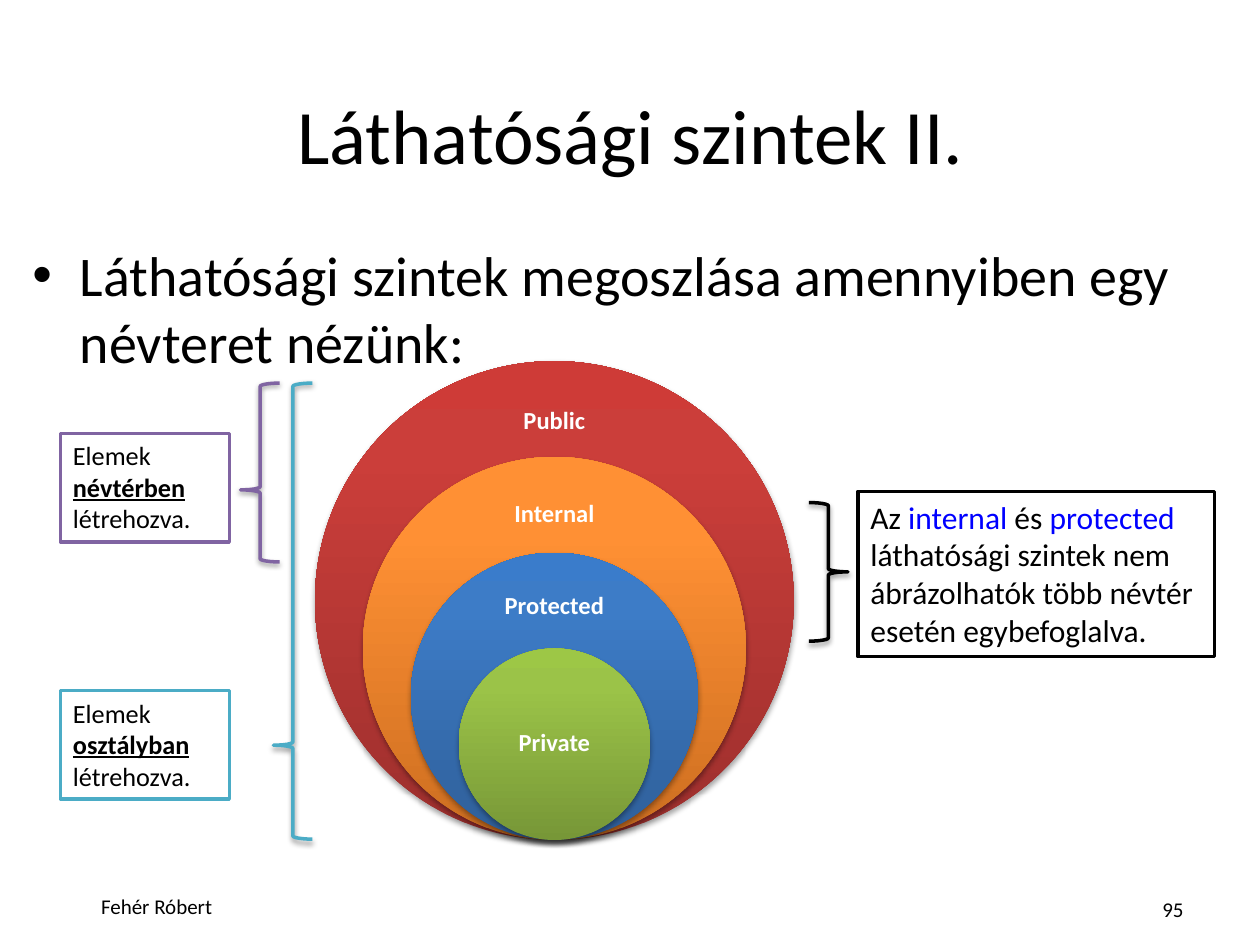
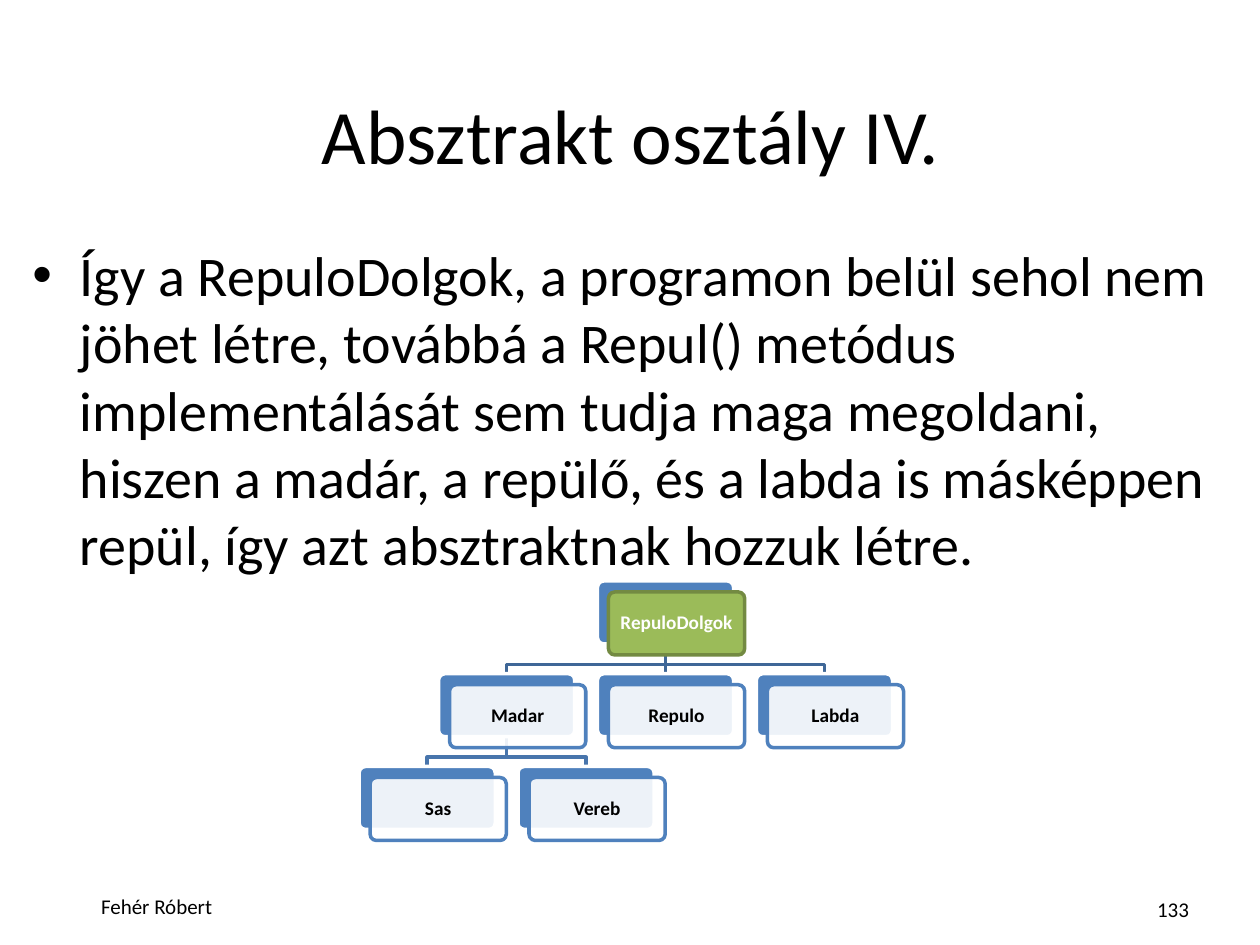
from copy import deepcopy

from lxml.etree import SubElement
from pptx import Presentation
from pptx.dml.color import RGBColor
from pptx.enum.shapes import MSO_CONNECTOR, MSO_SHAPE
from pptx.enum.text import MSO_ANCHOR, PP_ALIGN
from pptx.oxml.ns import qn
from pptx.util import Pt

# Shared palette and formats
BLACK, WHITE, BLUE = "000000", "FFFFFF", "4F81BD"
AQUA, PURPLE, CODE = "4BACC6", "8064A2", "0000FF"
FONT = "Calibri"
MID = {"vertical_anchor": MSO_ANCHOR.MIDDLE}
TOP = {"vertical_anchor": MSO_ANCHOR.TOP}
CENTER = {"alignment": PP_ALIGN.CENTER}
LABEL = {"alignment": PP_ALIGN.CENTER, "line_spacing": 0.9}
LEFT = {"alignment": PP_ALIGN.LEFT}
STRONG = {"bold": True, "underline": True}

# Nested circles: name, label centre, gradient stops
RINGS = [
    ("Public", 240.8, ("9C2F2D", "CB3E3A", "CE3B37")),
    ("Internal", 294.1, ("CC6E20", "FF9034", "FF9136")),
    ("Protected", 346.7, ("2F5F99", "3D7CC7", "3A7CCB")),
    ("Private", 424.8, ("779737", "9BC348", "9DC746")),
]

# Class tree: name -> (half column, row, parent)
TREE = {
    "RepuloDolgok": (3, 0, None),
    "Madar": (1, 1, "RepuloDolgok"),
    "Sas": (0, 2, "Madar"),
    "Vereb": (2, 2, "Madar"),
    "Repulo": (3, 1, "RepuloDolgok"),
    "Labda": (5, 1, "RepuloDolgok"),
}
NODE_W, NODE_H, SHIFT = 77.8, 36, 6.3


def rgb(code):
    return RGBColor.from_string(code)


def put(item, values):
    for name, value in values.items():
        setattr(item, name, value)


def inset(pad):
    sides = ("left", "right", "top", "bottom")
    return {f"margin_{side}": Pt(pad) for side in sides}


def write(shape, paras, size, color=BLACK, frame=MID, align=CENTER):
    """Each paragraph is a list of (text, colour, font values)."""
    box = shape.text_frame
    put(box, {"word_wrap": True, **frame})
    for num, runs in enumerate(paras):
        para = box.add_paragraph() if num else box.paragraphs[0]
        put(para, align)
        for text, tint, extra in runs:
            run = para.add_run()
            run.text = text
            put(run.font, {"name": FONT, "size": Pt(size), **extra})
            run.font.color.rgb = rgb(tint or color)


def plain(text, **extra):
    return [[(text, None, extra)]]


def text_box(slide, area, paras, size, **style):
    box = slide.shapes.add_textbox(*map(Pt, area))
    write(box, paras, size, **style)
    return box


def stroke(shape, color):
    shape.line.color.rgb = rgb(color)
    shape.line.width = Pt(2)


def draw(slide, kind, area, fill=None, line=None):
    shape = slide.shapes.add_shape(kind, *map(Pt, area))
    shape.shadow.inherit = False
    if fill:
        shape.fill.solid()
        shape.fill.fore_color.rgb = rgb(fill)
    else:
        shape.fill.background()
    if line:
        stroke(shape, line)
    else:
        shape.line.fill.background()
    return shape


def shade(shape, alpha, dist):
    effects = shape._element.spPr.find(qn("a:effectLst"))
    outer = SubElement(effects, qn("a:outerShdw"), blurRad=str(Pt(3.1)),
                       dist=str(Pt(dist)), dir="5400000", rotWithShape="0")
    tint = SubElement(outer, qn("a:srgbClr"), val=BLACK)
    SubElement(tint, qn("a:alpha"), val=str(alpha * 1000))


def blend(shape, colors):
    shape.fill.gradient()
    shape.fill.gradient_angle = 90
    stops = shape._element.spPr.find(".//" + qn("a:gsLst"))
    stops.append(deepcopy(stops[-1]))
    for stop, spot, color in zip(shape.fill.gradient_stops, (0, 0.8, 1), colors):
        stop.position = spot
        stop.color.rgb = rgb(color)


def base(deck, title, body, page):
    """Title, bullet, author and page number of one slide."""
    slide = deck.slides.add_slide(deck.slide_layouts[5])
    head = slide.shapes.title
    area = map(Pt, (11.5, 37.5, 697.5, 77.8))
    put(head, dict(zip(("left", "top", "width", "height"), area)))
    write(head, plain(title), 44)
    text = text_box(slide, (11.5, 134, 697.5, 354), plain(body), 32,
                    frame=TOP, align=LEFT)
    props = text.text_frame.paragraphs[0]._p.get_or_add_pPr()
    props.set("marL", str(Pt(27)))
    props.set("indent", str(Pt(-27)))
    SubElement(props, qn("a:buFont"), typeface="Arial")
    SubElement(props, qn("a:buChar"), char="•")
    text_box(slide, (632, 508.5, 76.5, 21.5), plain(page), 12)
    text_box(slide, (11.5, 507, 156, 22), plain("Fehér Róbert"), 12)
    return slide


def rings(slide):
    mid, floor, full = 316.8, 480, 273.6
    for num, (name, level, colors) in enumerate(RINGS):
        size = full * (1 - num / 5)
        disc = draw(slide, MSO_SHAPE.OVAL,
                    (mid - size / 2, floor - size, size, size))
        blend(disc, colors)
        shade(disc, 35, 1.8)
        text_box(slide, (mid - 38.2, level - 20, 76.4, 40),
                 plain(name, bold=True), 14, color=WHITE,
                 frame={**MID, **inset(7.9)}, align=LABEL)


def brace(slide, left, top, high, color, point=0.5, turn=0):
    shape = draw(slide, MSO_SHAPE.RIGHT_BRACE, (left, top, 22.3, high), line=color)
    shape.adjustments[1] = point
    shape.rotation = turn
    shade(shape, 38, 1.6)


def note(slide, area, color, paras, size):
    box = draw(slide, MSO_SHAPE.RECTANGLE, area, WHITE, color)
    write(box, paras, size, frame=TOP, align=LEFT)


def spot(name):
    col, row, _ = TREE[name]
    return 205.2 + 45.4 * col, 332 + 53 * row


def link(slide, name, boss):
    (left, top), (far, low) = spot(boss), spot(name)
    start, end = left + NODE_W / 2, far + NODE_W / 2
    high, bend = top + NODE_H, low - 5.3
    if start == end:
        line = slide.shapes.add_connector(
            MSO_CONNECTOR.STRAIGHT, *map(Pt, (start, high, end, low)))
        SubElement(line._element.spPr, qn("a:effectLst"))
    else:
        pen = slide.shapes.build_freeform(Pt(start), Pt(high))
        turns = ((start, bend), (end, bend), (end, low))
        pen.add_line_segments([(Pt(x), Pt(y)) for x, y in turns], close=False)
        line = pen.convert_to_shape()
        line.shadow.inherit = False
        line.fill.background()
    stroke(line, "4875AC" if TREE[boss][1] else "3F6797")


def node(slide, name):
    left, top = spot(name)
    root = TREE[name][2] is None
    looks = ((0, BLUE, WHITE),
             (SHIFT, "9BBB59" if root else WHITE, "738A42" if root else BLUE))
    for move, fill, line in looks:
        card = draw(slide, MSO_SHAPE.ROUNDED_RECTANGLE,
                    (left + move, top + move, NODE_W, NODE_H), fill, line)
        card.adjustments[0] = 0.1
    if not root:
        tint = card._element.spPr.find(qn("a:solidFill"))[0]
        SubElement(tint, qn("a:alpha"), val="90000")
    write(card, plain(name, bold=True), 11, color=WHITE if root else BLACK,
          frame={**MID, **inset(3.6)}, align=LABEL)


def levels(deck):
    slide = base(deck, "Láthatósági szintek II.",
                 "Láthatósági szintek megoszlása amennyiben egy névteret nézünk:",
                 "95")
    rings(slide)
    # Remark on the right
    brace(slide, 462.2, 287.2, 79.2, BLACK)
    note(slide, (490.3, 280.8, 203.8, 94.5), BLACK, [[
        ("Az ", None, {}), ("internal", CODE, {}), (" és ", None, {}),
        ("protected", CODE, {}),
        (" láthatósági szintek nem ábrázolhatók több névtér esetén "
         "egybefoglalva.", None, {})]], 18)
    # Scopes on the left
    scopes = [(156.2, 260.6, AQUA, 0.206, 394.6, "osztályban"),
              (137.5, 102.2, PURPLE, 0.403, 247.7, "névtérben")]
    for left, high, color, point, top, word in scopes:
        brace(slide, left, 218.9, high, color, point, 180)
        note(slide, (34.6, top, 96.5, 62), color, [
            [("Elemek", None, {})],
            [(word, None, STRONG), (" létrehozva.", None, {})]], 15)


def classes(deck):
    slide = base(deck, "Absztrakt osztály IV.",
                 "Így a RepuloDolgok, a programon belül sehol nem jöhet létre, "
                 "továbbá a Repul() metódus implementálását sem tudja maga "
                 "megoldani, hiszen a madár, a repülő, és a labda is másképpen "
                 "repül, így azt absztraktnak hozzuk létre.", "133")
    for name, (_, _, boss) in TREE.items():
        if boss:
            link(slide, name, boss)
    for name in TREE:
        node(slide, name)


def main():
    deck = Presentation()
    put(deck, {"slide_width": Pt(720), "slide_height": Pt(540)})
    levels(deck)
    classes(deck)
    deck.save("out.pptx")


if __name__ == "__main__":
    main()
